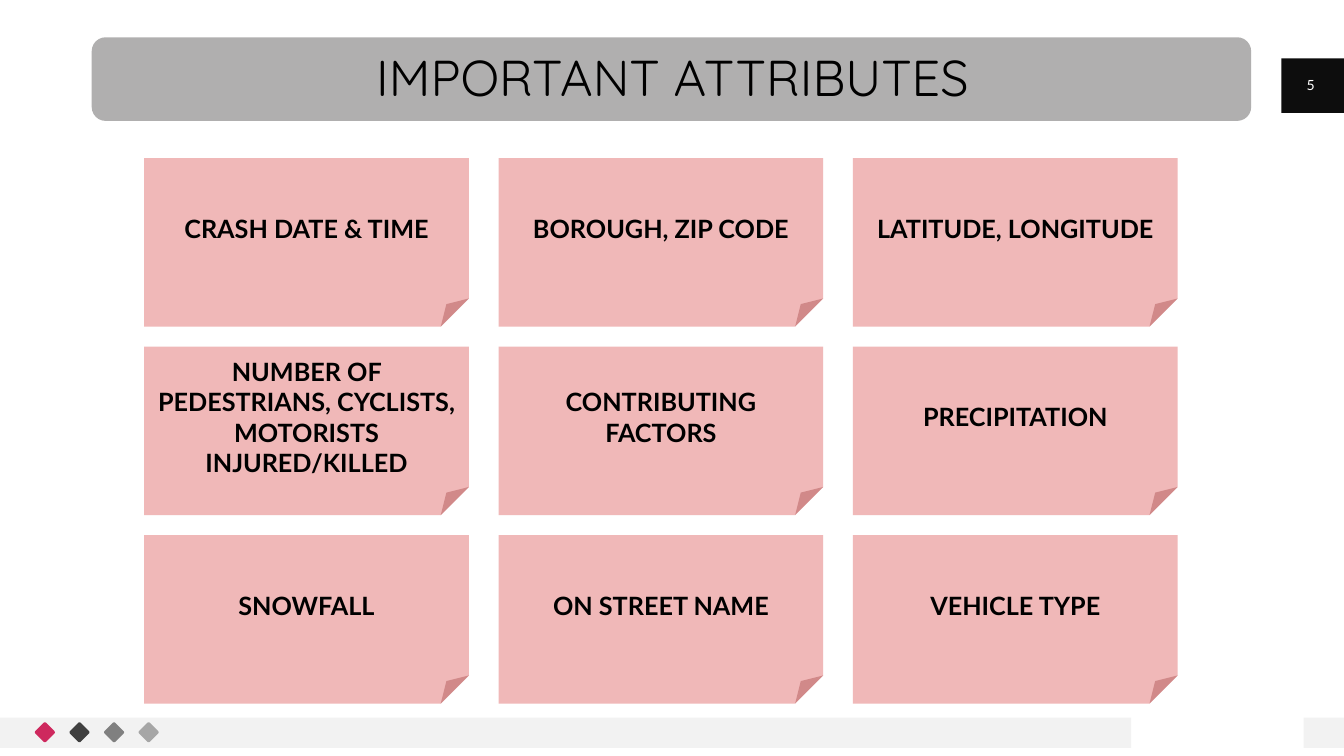
from dataclasses import dataclass

from lxml import etree
from pptx import Presentation
from pptx.dml.color import RGBColor
from pptx.enum.shapes import MSO_SHAPE
from pptx.enum.text import MSO_ANCHOR, PP_ALIGN
from pptx.oxml.ns import qn
from pptx.util import Inches, Pt

RECT, ROUNDED, NOTE = MSO_SHAPE.RECTANGLE, MSO_SHAPE.ROUNDED_RECTANGLE, MSO_SHAPE.FOLDED_CORNER
CENTER, MIDDLE = PP_ALIGN.CENTER, MSO_ANCHOR.MIDDLE

COLORS = {
    "footer": "F2F2F2", "page_tab": "0D0D0D", "banner": "3B3838", "note": "E37777",
    "black": "000000", "white": "FFFFFF",
    "pink": "CE295E", "dark": "404040", "mid": "808080", "light": "A6A6A6",
}
WIDTH, HEIGHT = 13.33, 7.5


@dataclass
class Area:
    left: float
    top: float
    width: float
    height: float

    def emu(self) -> list:
        return [Inches(n) for n in (self.left, self.top, self.width, self.height)]


@dataclass
class Grid:
    left: float
    top: float
    column_step: float
    row_step: float
    width: float
    height: float

    def cell(self, column: int, row: int) -> Area:
        return Area(self.left + column * self.column_step, self.top + row * self.row_step,
                    self.width, self.height)


@dataclass
class Style:
    size: int
    font: str
    color: str
    bold: bool = False


def add_block(page, kind, area: Area, color: str, opacity: int = 100):
    block = page.shapes.add_shape(kind, *area.emu())
    block.shadow.inherit = False
    block.fill.solid()
    block.fill.fore_color.rgb = RGBColor.from_string(COLORS[color])
    block.line.fill.background()
    if opacity < 100:
        tint = block.fill._xPr.find(".//" + qn("a:srgbClr"))
        etree.SubElement(tint, qn("a:alpha"), val=str(opacity * 1000))
    return block


def set_text(shape, text: str, style: Style):
    frame = shape.text_frame
    frame.word_wrap = True
    frame.vertical_anchor = MIDDLE
    frame.text = text
    para = frame.paragraphs[0]
    para.alignment = CENTER
    font = para.runs[0].font
    font.size, font.name, font.bold = Pt(style.size), style.font, style.bold
    font.color.rgb = RGBColor.from_string(COLORS[style.color])
    return frame


deck = Presentation()
deck.slide_width, deck.slide_height = Inches(WIDTH), Inches(HEIGHT)
page = deck.slides.add_slide(deck.slide_layouts[6])

# Footer bars and page number tab
add_block(page, RECT, Area(0, 7.12, 11.22, 0.3), "footer")
add_block(page, RECT, Area(12.93, 7.12, 0.4, 0.3), "footer")
add_block(page, RECT, Area(12.71, 0.58, 0.62, 0.54), "page_tab")
number = page.shapes.add_textbox(*Area(12.77, 0.64, 0.46, 0.4).emu())
set_text(number, "5", Style(10, "Lato", "white"))

# Footer diamonds
diamonds = Grid(0.37, 7.19, 0.343, 0, 0.15, 0.15)
for column, color in enumerate(("pink", "dark", "mid", "light")):
    diamond = add_block(page, ROUNDED, diamonds.cell(column, 0), color)
    diamond.adjustments[0] = 0.11
    diamond.rotation = 45

# Title banner
add_block(page, ROUNDED, Area(0.91, 0.37, 11.5, 0.83), "banner", 40)
title = page.shapes.add_textbox(*Area(0.92, 0.52, 11.5, 0.55).emu())
title_frame = set_text(title, "IMPORTANT ATTRIBUTES", Style(36, "Quicksand", "black"))
title_frame.margin_left = title_frame.margin_right = 0
title_frame.margin_top = title_frame.margin_bottom = 0
title_frame.paragraphs[0].line_spacing = 0.9

# Attribute notes
ATTRIBUTES = (
    ("CRASH DATE & TIME", "BOROUGH, ZIP CODE", "LATITUDE, LONGITUDE"),
    ("NUMBER OF PEDESTRIANS, CYCLISTS, MOTORISTS INJURED/KILLED",
     "CONTRIBUTING FACTORS", "PRECIPITATION"),
    ("SNOWFALL", "ON STREET NAME", "VEHICLE TYPE"),
)
notes = Grid(1.43, 1.57, 3.515, 1.87, 3.22, 1.67)
note_style = Style(18, "Lato", "black", bold=True)
for row, labels in enumerate(ATTRIBUTES):
    for column, label in enumerate(labels):
        note = add_block(page, NOTE, notes.cell(column, row), "note", 52)
        set_text(note, label, note_style)

deck.save("out.pptx")
